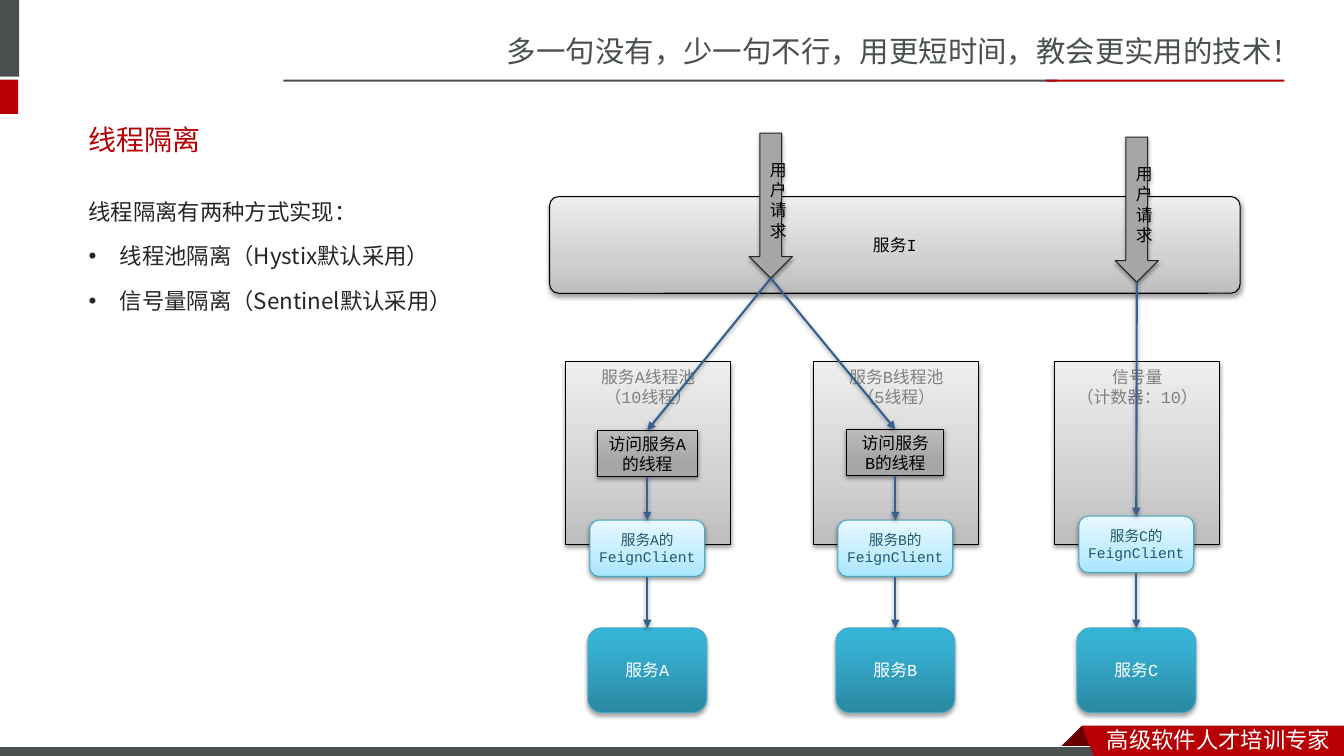
from dataclasses import dataclass
from typing import Any, Optional

import lxml.etree
import pptx
import pptx.dml.color
import pptx.enum.dml
import pptx.enum.shapes
import pptx.enum.text
import pptx.oxml
import pptx.oxml.ns
import pptx.util

Inches = pptx.util.Inches
Pt = pptx.util.Pt
qn = pptx.oxml.ns.qn
SHAPE = pptx.enum.shapes.MSO_SHAPE
ALIGN = pptx.enum.text.PP_ALIGN
ANCHOR = pptx.enum.text.MSO_ANCHOR

COLORS = {
    "slate": "49504F", "red": "B60004", "dark_red": "680000", "white": "FFFFFF",
    "black": "000000", "ink": "262626", "grey": "A6A6A6", "pool_text": "808080",
    "teal_line": "46AAC5", "client_text": "215968", "flow": "376092",
}
# Gradient stops (percent, colour) and clockwise angle
GRADIENTS = {
    "silver": ([(0, "BDBDBD"), (35, "D1D1D1"), (100, "EEEEEE")], 270),
    "steel": ([(0, "BCBCBC"), (70, "A6A6A6")], 90),
    "teal": ([(0, "2A88A2"), (80, "37B1D2"), (100, "34B4D6")], 270),
    "sky": ([(0, "A7E6FF"), (35, "C1EDFF"), (100, "E7F8FF")], 270),
}
CJK_FONT = "Noto Sans CJK SC"


@dataclass
class BoxStyle:
    shape: Any
    fill: str
    line: str
    text: str
    size: float = 12
    anchor: Any = ANCHOR.MIDDLE
    side_inset: float = 0.1
    shadow: tuple[int, int] = (38, 20000)
    corner: Optional[float] = None


@dataclass
class Column:
    name: str
    center: float
    pool_lines: list[str]
    client_top: float = 5.16
    thread_top: Optional[float] = None
    thread_width: float = 0.99


BUS = BoxStyle(SHAPE.ROUNDED_RECTANGLE, "silver", "black", "black", corner=0.097)
REQUEST = BoxStyle(SHAPE.DOWN_ARROW, "grey", "ink", "black")
POOL = BoxStyle(SHAPE.RECTANGLE, "silver", "black", "pool_text", anchor=ANCHOR.TOP)
THREAD = BoxStyle(SHAPE.RECTANGLE, "steel", "black", "black")
CLIENT = BoxStyle(SHAPE.ROUNDED_RECTANGLE, "sky", "teal_line", "client_text", 10.5, side_inset=0.06)
SERVICE = BoxStyle(SHAPE.ROUNDED_RECTANGLE, "teal", "teal_line", "white", shadow=(35, 23000))

COLUMNS = [
    Column("A", 6.42, ["服务A线程池", "（10线程）"], thread_top=4.27),
    Column("B", 8.88, ["服务B线程池", "（5线程）"], thread_top=4.26, thread_width=0.96),
    Column("C", 11.27, ["信号量", "（计数器：10）"], client_top=5.12),
]


def rgb(name: str) -> pptx.dml.color.RGBColor:
    return pptx.dml.color.RGBColor.from_string(COLORS[name])


def assign(target: Any, values: dict[str, Any]) -> None:
    for attribute, value in values.items():
        setattr(target, attribute, value)


def write(frame: Any, lines: list[str], size: float, color: str, font: str, align: Any,
          east_asian: str = CJK_FONT) -> None:
    frame.text = "\n".join(lines)
    for paragraph in frame.paragraphs:
        paragraph.alignment = align
        run = paragraph.runs[0]
        assign(run.font, {"size": Pt(size), "name": font, "bold": False})
        run.font.color.rgb = rgb(color)
        lxml.etree.SubElement(run.font._element, qn("a:ea")).set("typeface", east_asian)


def paint(shape: Any, fill: str) -> None:
    if fill not in GRADIENTS:
        shape.fill.solid()
        shape.fill.fore_color.rgb = rgb(fill)
        return
    stops, angle = GRADIENTS[fill]
    shape.fill.gradient()
    shape.fill.gradient_angle = 360 - angle
    stop_list = shape._element.spPr.find(".//" + qn("a:gsLst"))
    for stop in list(stop_list):
        stop_list.remove(stop)
    for percent, color in stops:
        stop = lxml.etree.SubElement(stop_list, qn("a:gs"), pos=str(percent * 1000))
        lxml.etree.SubElement(stop, qn("a:srgbClr"), val=color)


def cast_shadow(effects: Any, alpha: int, distance: int) -> None:
    shadow = lxml.etree.SubElement(effects, qn("a:outerShdw"), blurRad="40000", dist=str(distance),
                                   dir="5400000", rotWithShape="0")
    color = lxml.etree.SubElement(shadow, qn("a:srgbClr"), val=COLORS["black"])
    lxml.etree.SubElement(color, qn("a:alpha"), val=str(alpha * 1000))


def add_box(slide: Any, style: BoxStyle, place: tuple[float, ...], lines: list[str]) -> Any:
    box = slide.shapes.add_shape(style.shape, *map(Inches, place))
    if style.corner is not None:
        box.adjustments[0] = style.corner
    paint(box, style.fill)
    box.line.color.rgb = rgb(style.line)
    box.line.width = Pt(0.75)
    box.shadow.inherit = False
    cast_shadow(box._element.spPr.find(qn("a:effectLst")), *style.shadow)
    assign(box.text_frame, {"vertical_anchor": style.anchor, "word_wrap": True,
                            "margin_left": Inches(style.side_inset),
                            "margin_right": Inches(style.side_inset)})
    write(box.text_frame, lines, style.size, style.text, "Courier New", ALIGN.CENTER)
    return box


def add_flow(slide: Any, source: Any, target: Any) -> None:
    flow = slide.shapes.add_connector(pptx.enum.shapes.MSO_CONNECTOR.STRAIGHT, 0, 0, 0, 0)
    flow.begin_connect(source, 2)
    flow.end_connect(target, 0)
    flow.line.color.rgb = rgb("flow")
    flow.line.width = Pt(1.5)
    lxml.etree.SubElement(flow.line._get_or_add_ln(), qn("a:tailEnd"), type="triangle")
    cast_shadow(lxml.etree.SubElement(flow._element.spPr, qn("a:effectLst")), 38, 20000)


def finish_plain(shape: Any, fill: str, outline: Optional[str] = None) -> None:
    paint(shape, fill)
    shape.shadow.inherit = False
    if outline:
        shape.line.color.rgb = rgb(outline)
        shape.line.width = Pt(0.75)
    else:
        shape.line.fill.background()


def add_bar(slide: Any, place: tuple[float, ...], fill: str, outline: Optional[str] = None) -> None:
    finish_plain(slide.shapes.add_shape(SHAPE.RECTANGLE, *map(Inches, place)), fill, outline)


def add_ribbon(slide: Any, points: list[tuple[float, float]], fill: str) -> None:
    corners = [(Inches(x), Inches(y)) for x, y in points]
    outline = slide.shapes.build_freeform(*corners[0])
    outline.add_line_segments(corners[1:], close=True)
    finish_plain(outline.convert_to_shape(), fill)


def add_label(slide: Any, place: tuple[float, ...], lines: list[str], size: float, color: str,
              font: str = CJK_FONT) -> Any:
    label = slide.shapes.add_textbox(*map(Inches, place))
    label.text_frame.word_wrap = True
    write(label.text_frame, lines, size, color, font, ALIGN.LEFT, font)
    return label


def add_frame(slide: Any) -> None:
    add_label(slide, (4.93, 0.28, 8.41, 0.47), ["多一句没有，少一句不行，用更短时间，教会更实用的技术！"], 21, "slate")
    add_bar(slide, (-0.06, 0, 0.25, 0.76), "slate")
    add_bar(slide, (-0.06, 0.79, 0.24, 0.34), "red")
    add_bar(slide, (2.81, 0.79, 7.68, 0.02), "slate")
    add_bar(slide, (10.37, 0.79, 2.37, 0.02), "red")
    add_ribbon(slide, [(10.73, 7.2), (10.95, 7.42), (10.94, 7.43), (10.52, 7.43), (10.51, 7.42)], "dark_red")
    add_bar(slide, (-0.01, 7.41, 11, 0.12), "slate", "white")
    add_ribbon(slide, [(10.73, 7.2), (13.33, 7.2), (13.33, 7.54), (10.86, 7.53)], "red")
    add_label(slide, (10.88, 7.15, 2.45, 0.37), ["高级软件人才培训专家"], 16, "white")


def add_text(slide: Any) -> None:
    title = slide.shapes.title
    assign(title, dict(zip(("left", "top", "width", "height"), map(Inches, (0.78, 1.1, 11.7, 0.57)))))
    assign(title.text_frame, {"vertical_anchor": ANCHOR.MIDDLE, "word_wrap": True})
    write(title.text_frame, ["线程隔离"], 20, "red", "Arial", ALIGN.LEFT)

    body = add_label(slide, (0.78, 1.78, 11.7, 1.97), [
        "线程隔离有两种方式实现：", "线程池隔离（Hystix默认采用）", "信号量隔离（Sentinel默认采用）",
    ], 16, "ink", "Noto Sans CJK JP")
    for index, paragraph in enumerate(body.text_frame.paragraphs):
        assign(paragraph, {"line_spacing": 1.5, "space_before": Pt(3.2)})
        if index:
            properties = paragraph._p.get_or_add_pPr()
            properties.set("marL", str(Inches(0.31)))
            properties.set("indent", str(-Inches(0.31)))
            lxml.etree.SubElement(properties, qn("a:buFont")).set("typeface", "Arial")
            lxml.etree.SubElement(properties, qn("a:buChar")).set("char", "•")


def add_diagram(slide: Any) -> None:
    add_box(slide, BUS, (5.45, 1.95, 6.85, 0.96), ["服务I"])
    pool_request = add_box(slide, REQUEST, (7.43, 1.32, 0.43, 1.44), ["用户请求"])
    semaphore_request = add_box(slide, REQUEST, (11.06, 1.36, 0.43, 1.44), ["用户请求"])
    for column in COLUMNS:
        name, center = column.name, column.center
        service = add_box(slide, SERVICE, (center - 0.59, 6.23, 1.18, 0.84), [f"服务{name}"])
        add_box(slide, POOL, (center - 0.81, 3.59, 1.64, 1.81), column.pool_lines)
        steps = [semaphore_request]
        if column.thread_top is not None:
            left = center - column.thread_width / 2
            thread = add_box(slide, THREAD, (left, column.thread_top, column.thread_width, 0.46),
                             [f"访问服务{name}的线程"])
            steps = [pool_request, thread]
        client = add_box(slide, CLIENT, (center - 0.57, column.client_top, 1.14, 0.56),
                         [f"服务{name}的", "FeignClient"])
        steps += [client, service]
        for source, target in zip(steps, steps[1:]):
            add_flow(slide, source, target)


def main() -> None:
    deck = pptx.Presentation()
    assign(deck, {"slide_width": Inches(13.33), "slide_height": Inches(7.5)})
    slide = deck.slides.add_slide(deck.slide_layouts[5])
    add_frame(slide)
    add_text(slide)
    add_diagram(slide)
    deck.save("out.pptx")


if __name__ == "__main__":
    main()
